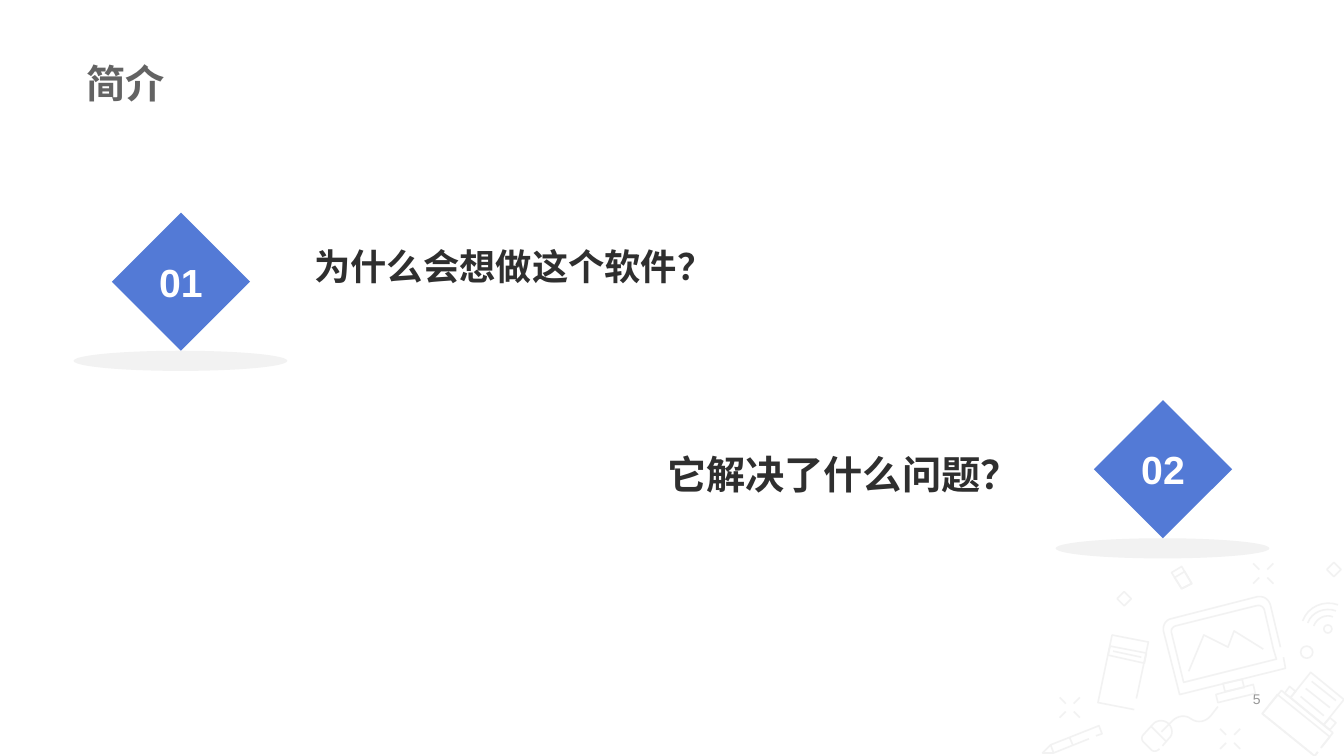
import itertools

import lxml.etree
import pptx
import pptx.dml.color
import pptx.enum.shapes
import pptx.enum.text
import pptx.oxml.ns
import pptx.util
from pptx.util import Inches

SHAPE = pptx.enum.shapes.MSO_SHAPE
ALIGN = pptx.enum.text.PP_ALIGN
ANCHOR = pptx.enum.text.MSO_ANCHOR
BLUE, PALE, DARK, GREY, WHITE = "537AD6", "F2F2F2", "2F2F2F", "636363", "FFFFFF"
CURVE_STEPS = 8

# Offsets from the top left corner of the doodle area.
# A pair is a straight step; six numbers are a cubic curve (two handles, then the end).
OPEN_OUTLINES = [
    # wireless waves
    [(2.62, 0.66), (2.67, 0.52, 2.83, 0.45, 2.97, 0.5)],
    [(2.67, 0.68), (2.71, 0.57, 2.84, 0.52, 2.95, 0.56)],
    [(2.73, 0.71), (2.76, 0.63, 2.85, 0.59, 2.92, 0.62)],
    # mouse and cable
    [(1.23, 1.9), (1.29, 1.83), (1.34, 1.79, 1.33, 1.72, 1.29, 1.68),
     (1.25, 1.64, 1.18, 1.64, 1.14, 1.68), (1.04, 1.79),
     (1.02, 1.81, 1.02, 1.85, 1.05, 1.87), (1.11, 1.93),
     (1.13, 1.96, 1.17, 1.96, 1.2, 1.93)],
    [(1.22, 1.76), (1.33, 1.65), (1.38, 1.6, 1.46, 1.59, 1.51, 1.63),
     (1.58, 1.68, 1.66, 1.66, 1.71, 1.6), (1.78, 1.51)],
    # monitor frame, screen and graph
    [(2.43, 1.02), (2.45, 1.13), (1.4, 1.39), (1.24, 0.76),
     (1.23, 0.71, 1.26, 0.65, 1.31, 0.64), (2.17, 0.42),
     (2.23, 0.41, 2.28, 0.44, 2.3, 0.5), (2.4, 0.92)],
    [(2.33, 0.94), (2.36, 1.04), (1.44, 1.27), (1.32, 0.78),
     (1.31, 0.75, 1.33, 0.72, 1.36, 0.71), (2.16, 0.51),
     (2.2, 0.5, 2.23, 0.52, 2.24, 0.55), (2.33, 0.94)],
    [(1.49, 1.16), (1.64, 0.8), (1.88, 0.92), (1.94, 0.76), (2.23, 0.94)],
    # printer
    [(2.77, 1.96), (2.74, 2), (2.22, 1.58), (2.41, 1.35), (2.92, 1.77), (2.8, 1.92)],
    [(2.77, 1.96), (2.74, 2), (2.22, 1.58), (2.37, 1.39), (2.89, 1.81), (2.81, 1.91)],
    # notebook
    [(0.95, 1.54), (0.59, 1.47), (0.73, 0.8), (1.09, 0.87), (0.98, 1.39), (0.97, 1.43)],
    # pencil and its tip
    [(0.5, 1.83), (0.15, 1.97), (0.12, 1.89), (0.6, 1.7), (0.63, 1.78), (0.57, 1.8)],
    [(0.12, 1.89), (0.04, 1.97), (0.15, 1.97)],
]
CLOSED_OUTLINES = [
    # monitor foot and neck
    [(2.15, 1.38), (1.78, 1.47), (1.76, 1.39), (2.13, 1.29)],
    [(2.04, 1.32), (1.85, 1.36), (1.83, 1.28), (2.02, 1.24)],
    # sheet and printer hinges
    [(2.83, 1.69), (2.5, 1.42), (2.7, 1.17), (3.03, 1.44)],
    [(2.5, 1.42), (2.44, 1.38), (2.49, 1.31), (2.55, 1.36)],
    [(2.89, 1.74), (2.83, 1.69), (2.89, 1.62), (2.95, 1.67)],
    # notebook band
    [(1.05, 1.08), (0.69, 1), (0.71, 0.91), (1.07, 0.98)],
    # memory stick and its body
    [(1.52, 0.29), (1.42, 0.34), (1.32, 0.18), (1.42, 0.12)],
    [(1.52, 0.29), (1.42, 0.34), (1.35, 0.23), (1.45, 0.17)],
]
STROKES = [
    (1.12, 1.71, 1.27, 1.86),  # mouse button
    (2.71, 1.26, 2.95, 1.45), (2.65, 1.33, 2.89, 1.52), (2.6, 1.41, 2.83, 1.6),  # sheet
    (0.74, 0.96, 1.02, 1.02),  # notebook label
    (0.31, 1.82, 0.34, 1.89),  # pencil collar
]
SPARKLES = [(1.9, 1.83), (0.31, 1.52), (2.23, 0.19)]
SMALL_DIAMONDS = [(0.85, 0.44), (2.93, 0.15)]
RINGS = [(2.66, 0.97, 0.12), (2.87, 0.74, 0.08)]


def color(hex_string):
    return pptx.dml.color.RGBColor.from_string(hex_string)


def style_doodle_line(line):
    line.color.rgb = color(PALE)
    line.width = pptx.util.Pt(1.13)


def curve_points(start, curve):
    """Points along a cubic curve, without its start."""
    nodes = [start, curve[:2], curve[2:4], curve[4:]]
    for step in range(1, CURVE_STEPS + 1):
        t = step / CURVE_STEPS
        weights = ((1 - t) ** 3, 3 * t * (1 - t) ** 2, 3 * t * t * (1 - t), t ** 3)
        yield tuple(sum(w * node[axis] for w, node in zip(weights, nodes)) for axis in (0, 1))


def add_outline(slide, left, top, steps, close):
    points = [steps[0]]
    for step in steps[1:]:
        points.extend([step] if len(step) == 2 else curve_points(points[-1], step))
    points = [(Inches(left + x), Inches(top + y)) for x, y in points]
    builder = slide.shapes.build_freeform(*points[0])
    builder.add_line_segments(points[1:], close=close)
    shape = builder.convert_to_shape()
    shape.shadow.inherit = False
    shape.fill.background()
    style_doodle_line(shape.line)


def add_stroke(slide, x1, y1, x2, y2):
    ends = [Inches(value) for value in (x1, y1, x2, y2)]
    connector = slide.shapes.add_connector(pptx.enum.shapes.MSO_CONNECTOR.STRAIGHT, *ends)
    style_doodle_line(connector.line)
    properties = connector._element.spPr
    lxml.etree.SubElement(properties, pptx.oxml.ns.qn("a:effectLst"))


def add_filled_shape(slide, kind, left, top, width, height, fill):
    shape = slide.shapes.add_shape(kind, Inches(left), Inches(top), Inches(width), Inches(height))
    shape.shadow.inherit = False
    if fill:
        shape.fill.solid()
        shape.fill.fore_color.rgb = color(fill)
        shape.line.fill.background()
    else:
        shape.fill.background()
        style_doodle_line(shape.line)
    return shape


def write_text(frame, text, size, hex_string, align, anchor, bold=True, spacing=None):
    frame.word_wrap = True
    frame.vertical_anchor = anchor
    paragraph = frame.paragraphs[0]
    paragraph.alignment = align
    paragraph.line_spacing = spacing
    run = paragraph.add_run()
    run.text = text
    run.font.name = "Arial"
    run.font.size = pptx.util.Pt(size)
    run.font.bold = bold
    run.font.color.rgb = color(hex_string)


def add_text(slide, left, top, width, height, *text_options, **more_options):
    box = slide.shapes.add_textbox(Inches(left), Inches(top), Inches(width), Inches(height))
    write_text(box.text_frame, *text_options, **more_options)


def add_doodles(slide, left, top):
    """Pale line drawings of office equipment in the corner."""
    for outlines, close in ((OPEN_OUTLINES, False), (CLOSED_OUTLINES, True)):
        for steps in outlines:
            add_outline(slide, left, top, steps, close)
    for x1, y1, x2, y2 in STROKES:
        add_stroke(slide, left + x1, top + y1, left + x2, top + y2)
    for (x, y), (dx, dy) in itertools.product(SPARKLES, itertools.product((-1, 1), repeat=2)):
        x, y = left + x, top + y
        add_stroke(slide, x + 0.04 * dx, y + 0.04 * dy, x + 0.1 * dx, y + 0.1 * dy)
    for x, y in SMALL_DIAMONDS:
        corners = [(x, y + 0.07), (x - 0.07, y), (x, y - 0.07), (x + 0.07, y)]
        add_outline(slide, left, top, corners, True)
    for x, y, size in RINGS:
        add_filled_shape(slide, SHAPE.OVAL, left + x - size / 2, top + y - size / 2,
                         size, size, None)


def add_number_badge(slide, left, top, number):
    """Numbered diamond standing on a flat shadow."""
    add_filled_shape(slide, SHAPE.OVAL, left, top + 1.37, 2.12, 0.2, PALE)
    diamond = add_filled_shape(slide, SHAPE.DIAMOND, left + 0.38, top, 1.37, 1.37, BLUE)
    frame = diamond.text_frame
    frame.margin_left = frame.margin_right = frame.margin_top = frame.margin_bottom = 0
    write_text(frame, number, 28, WHITE, ALIGN.CENTER, ANCHOR.MIDDLE)


def main():
    presentation = pptx.Presentation()
    presentation.slide_width, presentation.slide_height = Inches(13.33), Inches(7.5)
    slide = presentation.slides.add_slide(presentation.slide_layouts[6])
    add_doodles(slide, 10.3, 5.5)
    add_text(slide, 0.76, 0, 11.81, 1.11, "简介", 28, GREY, ALIGN.LEFT, ANCHOR.BOTTOM,
             spacing=0.9)
    add_text(slide, 9.42, 6.82, 3.18, 0.23, "5", 10, "979797", ALIGN.RIGHT, ANCHOR.MIDDLE,
             bold=False)
    add_number_badge(slide, 0.73, 2.11, "01")
    add_text(slide, 3.02, 2.42, 7.45, 0.48, "为什么会想做这个软件？", 25.9, DARK,
             ALIGN.LEFT, ANCHOR.BOTTOM, spacing=0.8)
    add_number_badge(slide, 10.47, 3.97, "02")
    add_text(slide, 3.02, 4.5, 7.19, 0.48, "它解决了什么问题？", 28, DARK,
             ALIGN.RIGHT, ANCHOR.BOTTOM)
    presentation.save("out.pptx")


if __name__ == "__main__":
    main()
